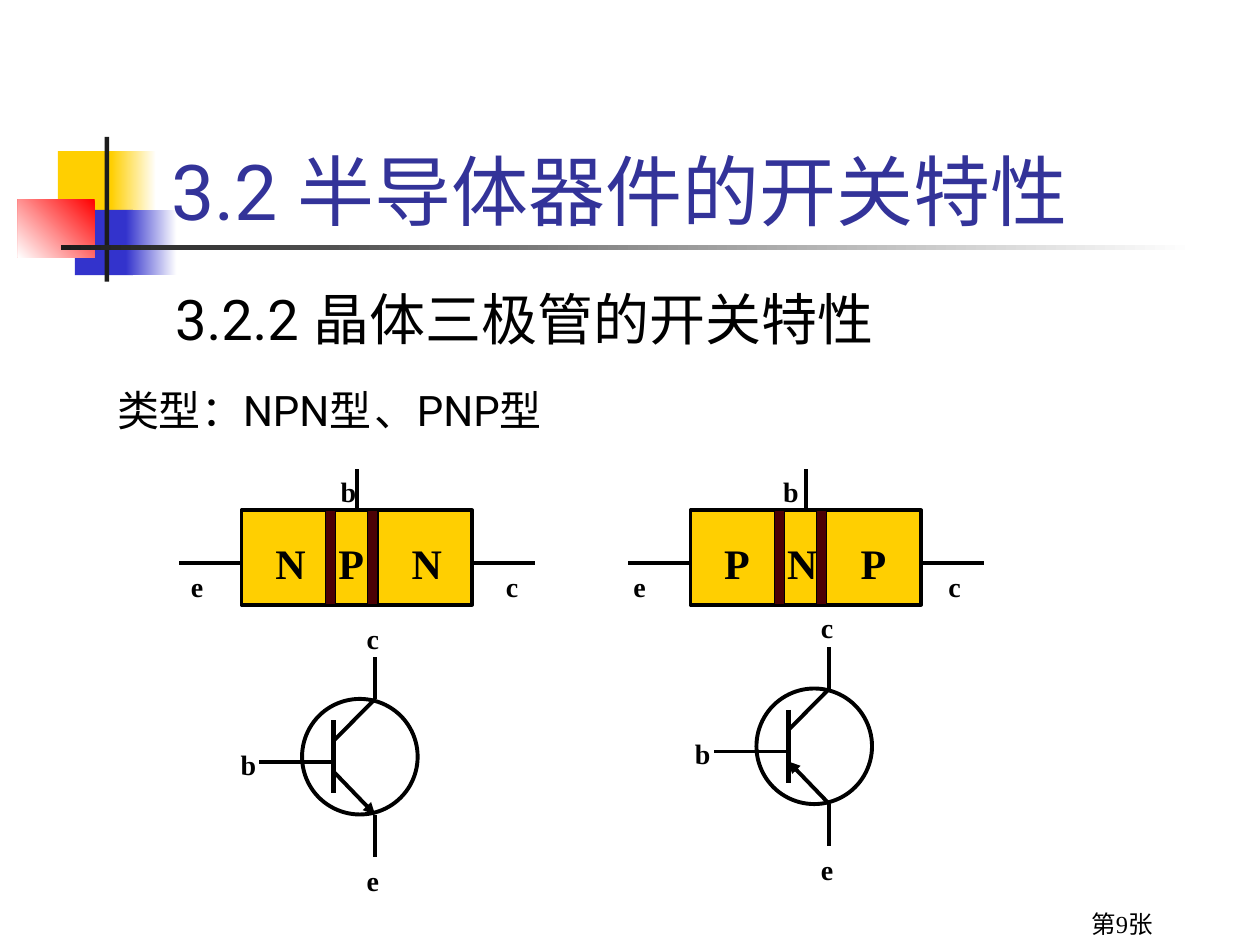
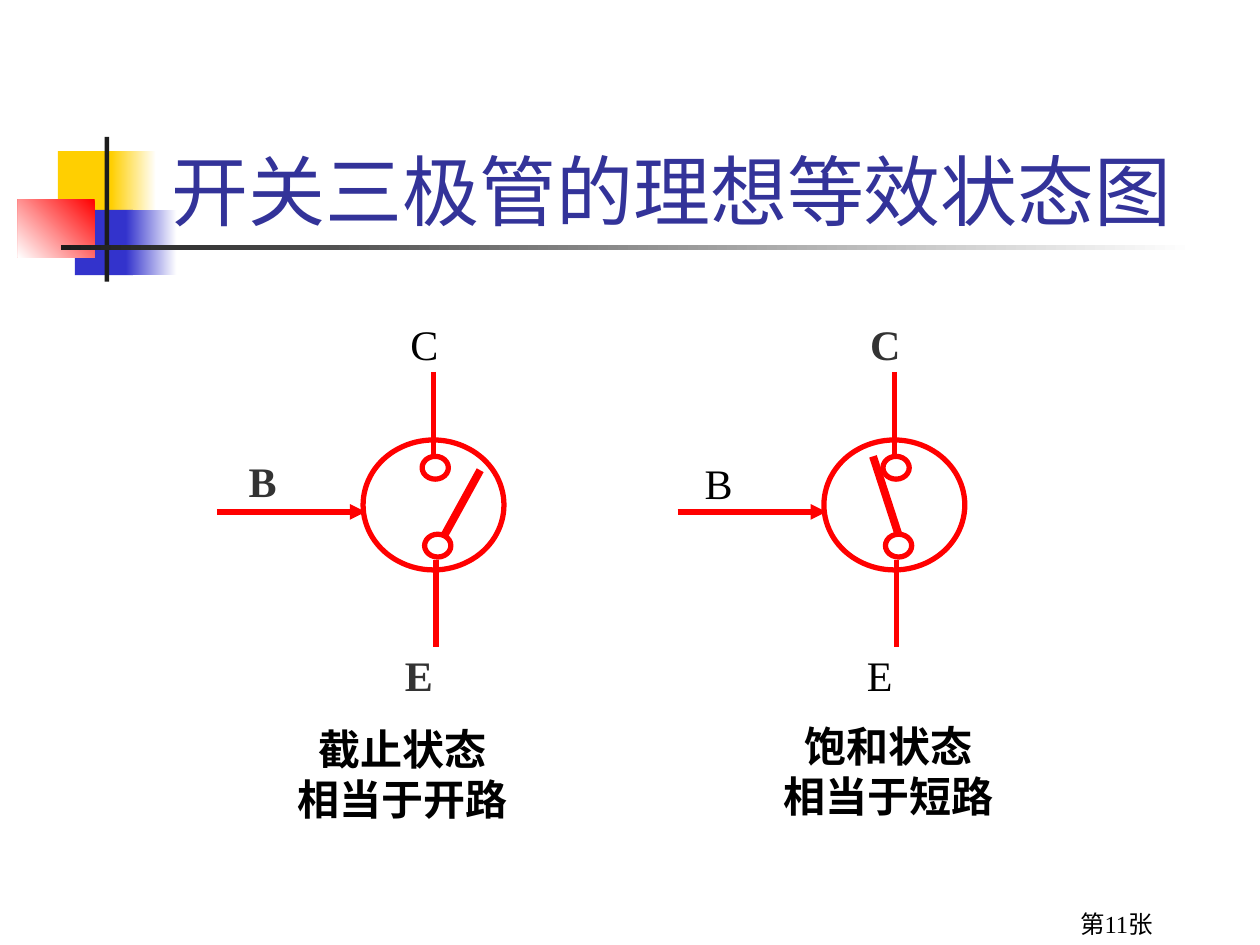
from lxml import etree
from pptx import Presentation
from pptx import util as u
from pptx.dml.color import RGBColor
from pptx.enum import lang, shapes, text as txt
from pptx.oxml import ns

COLORS = {
    "black": "000000", "white": "FFFFFF", "title": "333399", "grey": "333333",
    "yellow": "FFCF01", "blue": "3333CC", "red": "FF0000", "rule": "1C1C1C",
    "junction": "4B0105",
}
RECTANGLE = shapes.MSO_SHAPE.RECTANGLE
OVAL = shapes.MSO_SHAPE.OVAL
LINE = shapes.MSO_CONNECTOR.STRAIGHT
ALIGN = txt.PP_ALIGN
ANCHOR = txt.MSO_ANCHOR
SERIF, SANS = "Times New Roman", "Roboto"


def add_text(slide, text, left, top, width, height, size=24, font=SERIF, color="black",
             bold=False, align=ALIGN.LEFT, anchor=ANCHOR.TOP, wrap=False, before=0):
    """Add a text box, one paragraph per line, and return its last paragraph."""
    box = slide.shapes.add_textbox(u.Cm(left), u.Cm(top), u.Cm(width), u.Cm(height))
    frame = box.text_frame
    frame.word_wrap = wrap
    frame.vertical_anchor = anchor
    frame.text = text
    for paragraph in frame.paragraphs:
        paragraph.alignment = align
        paragraph.space_before = u.Pt(before)
        for run in paragraph.runs:
            run.font.size = u.Pt(size)
            run.font.name = font
            run.font.bold = bold
            run.font.color.rgb = RGBColor.from_string(COLORS[color])
            run.font.language_id = lang.MSO_LANGUAGE_ID.SIMPLIFIED_CHINESE
    return paragraph


def draw(slide, kind, a, b, c, d, fill=None, fade=None, line="black", weight=2.25, arrow=False):
    """Draw a line from (a, b) to (c, d), or a shape at (a, b) of size c by d.

    fade is the angle at which the fill runs out to white.
    """
    place = [u.Cm(value) for value in (a, b, c, d)]
    if kind is LINE:
        shape = slide.shapes.add_connector(kind, *place)
    else:
        shape = slide.shapes.add_shape(kind, *place)
        shape.shadow.inherit = False
        if fill is None:
            shape.fill.background()
        elif fade is None:
            shape.fill.solid()
            shape.fill.fore_color.rgb = RGBColor.from_string(COLORS[fill])
        else:
            shape.fill.gradient()
            shape.fill.gradient_angle = fade
            for stop, color in zip(shape.fill.gradient_stops, (fill, "white")):
                stop.color.rgb = RGBColor.from_string(COLORS[color])
    if line is None:
        shape.line.fill.background()
    else:
        shape.line.color.rgb = RGBColor.from_string(COLORS[line])
        shape.line.width = u.Pt(weight)
    if kind is LINE:
        properties = shape._element.spPr
        if arrow:
            etree.SubElement(properties.find(ns.qn("a:ln")), ns.qn("a:tailEnd"), type="triangle")
        etree.SubElement(properties, ns.qn("a:effectLst"))
    return shape


presentation = Presentation()
presentation.slide_width = u.Cm(25.4)
presentation.slide_height = u.Cm(19.05)

# Shared title decoration: left, top, width, height, colour, fade angle
BANDS = [
    (1.17, 3.05, 1.22, 1.32, "yellow", None),
    (2.24, 3.05, 0.91, 1.32, "yellow", 0),
    (1.51, 4.23, 1.17, 1.32, "blue", None),
    (2.54, 4.23, 1.02, 1.32, "blue", 0),
    (0.36, 4.02, 1.55, 1.17, "red", 225),
    (2.11, 2.76, 0.09, 2.92, "rule", None),
    (1.23, 4.94, 22.86, 0.1, "rule", 0),
]
slides = []
for title, page in (("3.2 半导体器件的开关特性", 9), ("开关三极管的理想等效状态图", 11)):
    slide = presentation.slides.add_slide(presentation.slide_layouts[6])
    for *place, color, fade in BANDS:
        draw(slide, RECTANGLE, *place, fill=color, fade=fade, line=None)
    add_text(slide, title, 3.2, 1.7, 21.64, 3.18, size=44, font=SANS, color="title",
             anchor=ANCHOR.BOTTOM, wrap=True)
    add_text(slide, f"第{page}张", 18.21, 18.21, 5.28, 0.84, size=14,
             align=ALIGN.RIGHT, wrap=True)
    slides.append(slide)
types_slide, states_slide = slides

# Transistor types
add_text(types_slide, "3.2.2 晶体三极管的开关特性", 3.28, 5.61, 21.59, 1.8,
         size=32, font=SANS, wrap=True, before=8)
types = add_text(types_slide, "类型：NPN型", 2.11, 7.62, 21.59, 1.47, font=SANS, wrap=True)
for words, size, font in ((" ", 9, "Arial"), ("、", 24, "Arial"), ("PNP型", 24, SANS)):
    run = types.add_run()
    run.text = words
    run.font.size = u.Pt(size)
    run.font.name = font
    run.font.language_id = lang.MSO_LANGUAGE_ID.SIMPLIFIED_CHINESE

# Layer structure: left edge of the block, left edge of its labels
BLOCK_TOP, BLOCK_WIDTH, BLOCK_HEIGHT = 10.29, 4.65, 1.9
LEAD_Y, LEAD_LENGTH, BASE_TOP = 11.35, 1.27, 9.45
for layers, left, label_left in (("NPN", 4.87, 4.87), ("PNP", 13.92, 13.79)):
    right, middle = left + BLOCK_WIDTH, left + BLOCK_WIDTH / 2
    block = draw(types_slide, RECTANGLE, left, BLOCK_TOP, BLOCK_WIDTH, BLOCK_HEIGHT, fill="yellow")
    for offset in (1.69, 2.54):
        draw(types_slide, RECTANGLE, left + offset, BLOCK_TOP, 0.21, BLOCK_HEIGHT,
             fill="junction", weight=0.75)
    for layer, offset in zip(layers, (0.43, 1.7, 3.18)):
        width = 1.12 if layer == "N" else 1.02
        add_text(types_slide, layer, left + offset, 10.72, width, 1.27, bold=True)
    base = draw(types_slide, LINE, middle, BLOCK_TOP, middle, BASE_TOP)
    base.begin_connect(block, 0)
    draw(types_slide, LINE, left, LEAD_Y, left - LEAD_LENGTH, LEAD_Y)
    draw(types_slide, LINE, right, LEAD_Y, right + LEAD_LENGTH, LEAD_Y)
    for label, offset, top in (("e", -1.27, LEAD_Y), ("b", 1.75, BASE_TOP), ("c", 5.08, LEAD_Y)):
        add_text(types_slide, label, label_left + offset, top, 0.78, 0.94, size=16, bold=True)

# Circuit symbols, measured from the top left of the circle
DIAMETER, BAR_X, LEAD_X = 2.33, 0.64, 1.47
INNER, OUTER = (BAR_X, 1.47), (LEAD_X, DIAMETER)
for left, top, emitter in ((6.09, 14.09, INNER + OUTER), (15.25, 13.88, OUTER + INNER)):
    symbol_lines = [
        (BAR_X, 0.43, BAR_X, 1.9, 3, False),
        (BAR_X, 0.84, LEAD_X, 0, 2.25, False),
        (*emitter, 2.25, True),
        (LEAD_X, 0, LEAD_X, -0.84, 2.25, False),
        (LEAD_X, DIAMETER, LEAD_X, 3.18, 2.25, False),
        (BAR_X, 1.27, -0.86, 1.27, 2.25, False),
    ]
    for x1, y1, x2, y2, weight, arrow in symbol_lines:
        draw(types_slide, LINE, left + x1, top + y1, left + x2, top + y2,
             weight=weight, arrow=arrow)
    draw(types_slide, OVAL, left, top, DIAMETER, DIAMETER)
    for label, x, y in (("b", -1.49, 0.85), ("c", 1.05, -1.69), ("e", 1.05, 3.19)):
        add_text(types_slide, label, left + x, top + y, 0.78, 0.94, size=16, bold=True)

# Switch states, measured from the top left of the circle
SWITCH_TOP = 8.87
CAPTION_WIDTH, CAPTION_HEIGHT = 5, 2.3
STATES = [
    (7.32, (1.65, 1.9, 2.36, 0.61), (-3.84, 0.25), "BE",
     "截止状态\n相当于开路", (5.61, 14.45)),
    (16.61, (1.5, 1.9, 0.99, 0.33), (-3.94, 0.3), "C",
     "饱和状态\n相当于短路", (15.42, 14.39)),
]
centred = {"align": ALIGN.CENTER, "anchor": ANCHOR.MIDDLE}
for left, lever, base_label, bold_labels, caption, caption_corner in STATES:
    for x, y, width, height in ((0, 0, 2.84, 2.62), (1.19, 0.33, 0.53, 0.46),
                                (1.24, 1.9, 0.53, 0.46)):
        draw(states_slide, OVAL, left + x, SWITCH_TOP + y, width, height, line="red", weight=3)
    switch_lines = [
        (*lever, 4.5, False),
        (1.47, 2.41, 1.47, 4.17, 3, False),
        (1.42, -1.37, 1.42, 0.38, 3, False),
        (-2.95, 1.45, 0.05, 1.45, 3, True),
    ]
    for x1, y1, x2, y2, weight, arrow in switch_lines:
        draw(states_slide, LINE, left + x1, SWITCH_TOP + y1, left + x2, SWITCH_TOP + y2,
             line="red", weight=weight, arrow=arrow)
    for label, (x, y) in (("B", base_label), ("C", (-0.58, -2.51)), ("E", (-0.69, 4.17))):
        bold = label in bold_labels
        add_text(states_slide, label, left + x, SWITCH_TOP + y, 3.63, 1.14,
                 color="grey" if bold else "black", bold=bold, **centred)
    add_text(states_slide, caption, *caption_corner, CAPTION_WIDTH, CAPTION_HEIGHT,
             bold=True, **centred)

presentation.save("out.pptx")
